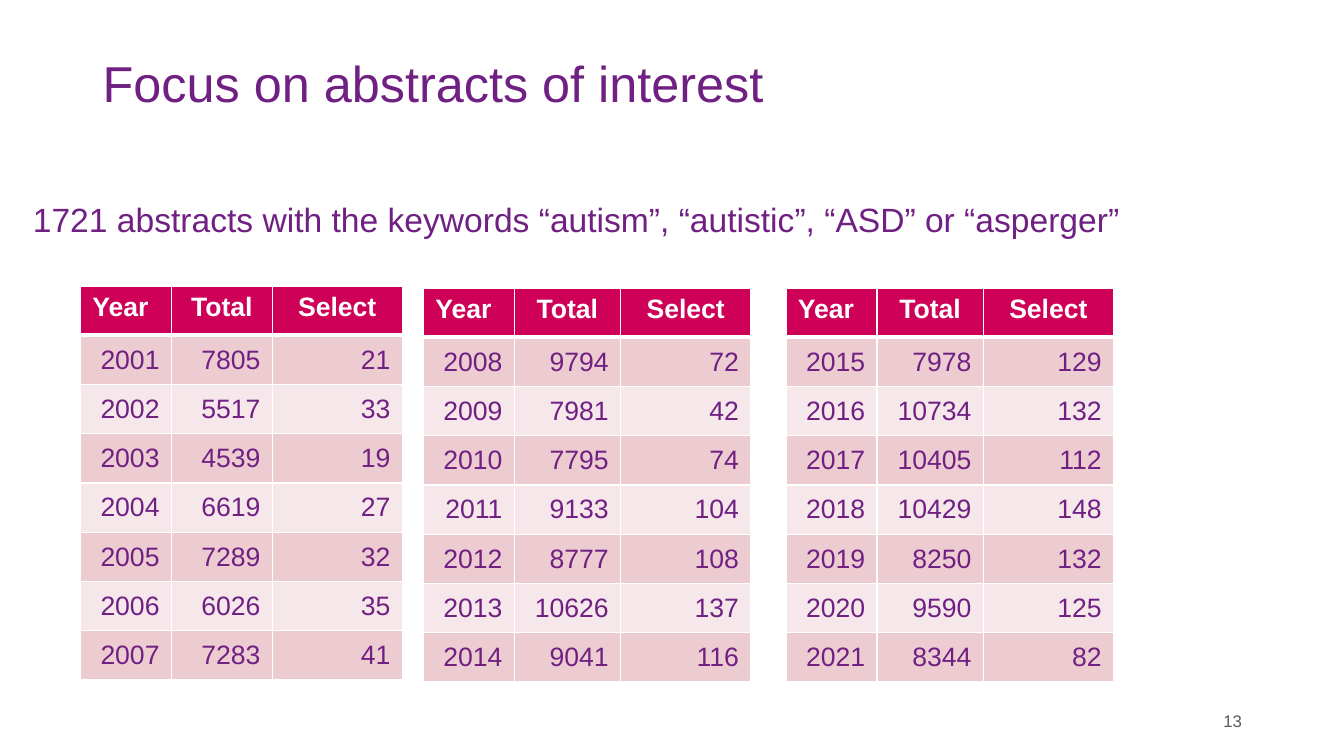
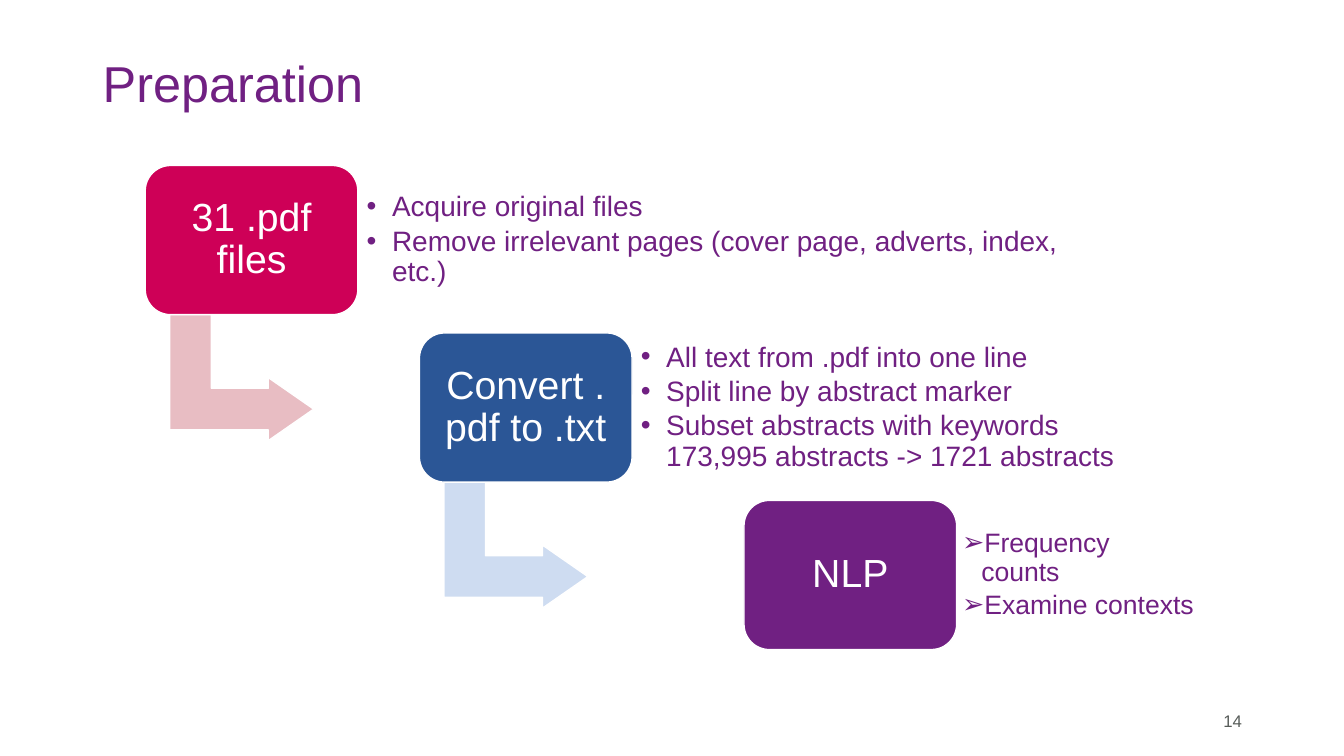
from dataclasses import dataclass

from lxml.etree import SubElement
from pptx import Presentation
from pptx.dml.color import RGBColor
from pptx.enum.shapes import MSO_SHAPE
from pptx.enum.text import MSO_ANCHOR, PP_ALIGN
from pptx.oxml.ns import qn
from pptx.shapes.autoshape import Shape
from pptx.slide import Slide
from pptx.table import _Cell
from pptx.text.text import TextFrame, _Paragraph
from pptx.util import Cm, Pt

FONT = "Arial"
COLOURS = {
    "purple": "702082",
    "crimson": "CE0057",
    "blue": "2B5696",
    "white": "FFFFFF",
    "grey": "575C59",
    "pink": "E8BDC3",
    "pale blue": "CEDCF1",
    "odd row": "EDCCD1",
    "even row": "F6E7EA",
}
HEADINGS = ("Year", "Total", "Select")
HEADING_ALIGNMENTS = (PP_ALIGN.LEFT, PP_ALIGN.CENTER, PP_ALIGN.CENTER)
ROW_HEIGHT = 1.24
STEP_TOP, STEP_PITCH = 4.17, 4.22
STEP_WIDTH, STEP_HEIGHT = 5.36, 3.76
ARROW_WIDTH, ARROW_HEIGHT = 3.18, 3.63


@dataclass(frozen=True)
class YearTable:
    left: float
    top: float
    total_width: float
    first_year: int
    counts: tuple[tuple[int, int], ...]


@dataclass(frozen=True)
class Bullet:
    symbol: str
    size: float
    indent: float
    inset: float


@dataclass(frozen=True)
class Step:
    label: str
    left: float
    colour: str
    details: tuple[str, ...]
    details_width: float
    bullet: Bullet
    arrow_colour: str | None = None


DOT = Bullet("•", 20, 0.64, 0.28)
ARROWHEAD = Bullet("➢", 19, 0.48, 0.2)

YEAR_TABLES = (
    YearTable(2.03, 7.21, 2.54, 2001, (
        (7805, 21), (5517, 33), (4539, 19), (6619, 27),
        (7289, 32), (6026, 35), (7283, 41))),
    YearTable(10.67, 7.26, 2.68, 2008, (
        (9794, 72), (7981, 42), (7795, 74), (9133, 104),
        (8777, 108), (10626, 137), (9041, 116))),
    YearTable(19.81, 7.26, 2.68, 2015, (
        (7978, 129), (10734, 132), (10405, 112), (10429, 148),
        (8250, 132), (9590, 125), (8344, 82))),
)

STEPS = (
    Step("31 .pdf files", 3.66, "crimson", (
        "Acquire original files",
        "Remove irrelevant pages (cover page, adverts, index, etc.)",
    ), 19.28, DOT, "pink"),
    Step("Convert .pdf to .txt", 10.57, "blue", (
        "All text from .pdf into one line",
        "Split line by abstract marker",
        "Subset abstracts with keywords 173,995 abstracts -> 1721 abstracts",
    ), 13.56, DOT, "pale blue"),
    Step("NLP", 18.75, "purple", (
        "Frequency counts",
        "Examine contexts",
    ), 6.25, ARROWHEAD),
)


def rgb(colour: str) -> RGBColor:
    return RGBColor.from_string(COLOURS[colour])


def add_span(para: _Paragraph, text: str, size: float, colour: str, bold: bool = False) -> None:
    span = para.add_run()
    span.text = text
    span.font.name = FONT
    span.font.size = Pt(size)
    span.font.bold = bold
    span.font.color.rgb = rgb(colour)


def add_box(page: Slide, left: float, top: float, width: float, height: float,
            anchor: MSO_ANCHOR = MSO_ANCHOR.MIDDLE) -> TextFrame:
    frame = page.shapes.add_textbox(Cm(left), Cm(top), Cm(width), Cm(height)).text_frame
    frame.word_wrap = True
    frame.vertical_anchor = anchor
    return frame


def set_insets(frame: TextFrame, inset: float) -> None:
    frame.margin_left = frame.margin_right = Cm(inset)
    frame.margin_top = frame.margin_bottom = Cm(inset)


def add_page(deck: Presentation, title: str, number: int) -> Slide:
    """Add a blank slide with the shared title and page number."""
    page = deck.slides.add_slide(deck.slide_layouts[6])
    para = add_box(page, 2.34, 1.42, 27.71, 1.52).paragraphs[0]
    para.line_spacing = 0.9
    add_span(para, title, 36, "purple")
    para = add_box(page, 23.93, 17.65, 7.62, 1.02).paragraphs[0]
    para.alignment = PP_ALIGN.RIGHT
    add_span(para, str(number), 12, "grey")
    return page


def set_borders(cell: _Cell, row: int) -> None:
    """Draw white borders, thicker between the heading and the first row."""
    widths = {"lnL": 1, "lnR": 1, "lnT": 3 if row == 1 else 1, "lnB": 3 if row == 0 else 1}
    properties = cell._tc.get_or_add_tcPr()
    for side, width in widths.items():
        line = SubElement(properties, qn(f"a:{side}"), w=str(Pt(width)))
        fill = SubElement(line, qn("a:solidFill"))
        SubElement(fill, qn("a:srgbClr"), val=COLOURS["white"])


def fill_cell(cell: _Cell, row: int, column: int, text: str) -> None:
    heading = row == 0
    set_borders(cell, row)
    cell.fill.solid()
    cell.fill.fore_color.rgb = rgb("crimson" if heading else "odd row" if row % 2 else "even row")
    cell.margin_left = cell.margin_right = Cm(0.3)
    cell.margin_top = cell.margin_bottom = Cm(0.15)
    cell.vertical_anchor = MSO_ANCHOR.TOP if heading else MSO_ANCHOR.MIDDLE
    para = cell.text_frame.paragraphs[0]
    para.alignment = HEADING_ALIGNMENTS[column] if heading else PP_ALIGN.RIGHT
    add_span(para, text, 19, "white" if heading else "purple", heading)


def add_year_table(page: Slide, data: YearTable) -> None:
    rows = [HEADINGS]
    rows += [(data.first_year + index, *pair) for index, pair in enumerate(data.counts)]
    widths = (2.29, data.total_width, 3.28)
    table = page.shapes.add_table(
        len(rows), len(widths), Cm(data.left), Cm(data.top),
        Cm(sum(widths)), Cm(ROW_HEIGHT * len(rows))).table
    for column, width in enumerate(widths):
        table.columns[column].width = Cm(width)
    for row, values in enumerate(rows):
        table.rows[row].height = Cm(ROW_HEIGHT)
        for column, value in enumerate(values):
            fill_cell(table.cell(row, column), row, column, str(value))


def add_block(page: Slide, kind: MSO_SHAPE, left: float, top: float, width: float,
              height: float, colour: str, adjustments: tuple[float, ...]) -> Shape:
    block = page.shapes.add_shape(kind, Cm(left), Cm(top), Cm(width), Cm(height))
    block.shadow.inherit = False
    block.fill.solid()
    block.fill.fore_color.rgb = rgb(colour)
    block.line.color.rgb = rgb("white")
    block.line.width = Pt(1)
    for index, value in enumerate(adjustments):
        block.adjustments[index] = value
    return block


def add_details(page: Slide, step: Step, top: float) -> None:
    bullet = step.bullet
    frame = add_box(page, step.left + 5.3, top, step.details_width, STEP_HEIGHT)
    set_insets(frame, bullet.inset)
    for index, detail in enumerate(step.details):
        para = frame.add_paragraph() if index else frame.paragraphs[0]
        properties = para._p.get_or_add_pPr()
        properties.set("marL", str(Cm(bullet.indent)))
        properties.set("indent", str(-Cm(bullet.indent)))
        SubElement(properties, qn("a:buFont"), typeface=FONT)
        SubElement(properties, qn("a:buChar"), char=bullet.symbol)
        para.line_spacing = 0.9
        para.space_after = Pt(3)
        add_span(para, detail, bullet.size, "purple")


def add_step(page: Slide, step: Step, top: float) -> None:
    if step.arrow_colour:
        arrow = add_block(page, MSO_SHAPE.BENT_UP_ARROW, step.left + 0.84, top + 3.53,
                          ARROW_WIDTH, ARROW_HEIGHT, step.arrow_colour, (0.33, 0.25, 0.36))
        arrow.rotation = 90
    block = add_block(page, MSO_SHAPE.ROUNDED_RECTANGLE, step.left, top,
                      STEP_WIDTH, STEP_HEIGHT, step.colour, (0.17,))
    frame = block.text_frame
    frame.word_wrap = True
    frame.vertical_anchor = MSO_ANCHOR.MIDDLE
    set_insets(frame, 0.3)
    para = frame.paragraphs[0]
    para.alignment = PP_ALIGN.CENTER
    para.line_spacing = 0.9
    add_span(para, step.label, 28, "white")
    add_details(page, step, top)


def add_abstracts_page(deck: Presentation) -> None:
    page = add_page(deck, "Focus on abstracts of interest", 13)
    for data in YEAR_TABLES:
        add_year_table(page, data)
    summary = add_box(page, 0.58, 4.88, 30.61, 1.27, MSO_ANCHOR.TOP)
    add_span(summary.paragraphs[0],
             "1721 abstracts with the keywords “autism”, “autistic”, “ASD” or “asperger”",
             24, "purple")


def add_preparation_page(deck: Presentation) -> None:
    page = add_page(deck, "Preparation", 14)
    for index, step in enumerate(STEPS):
        add_step(page, step, STEP_TOP + index * STEP_PITCH)


def main() -> None:
    deck = Presentation()
    deck.slide_width, deck.slide_height = Cm(33.87), Cm(19.05)
    add_abstracts_page(deck)
    add_preparation_page(deck)
    deck.save("out.pptx")


if __name__ == "__main__":
    main()
